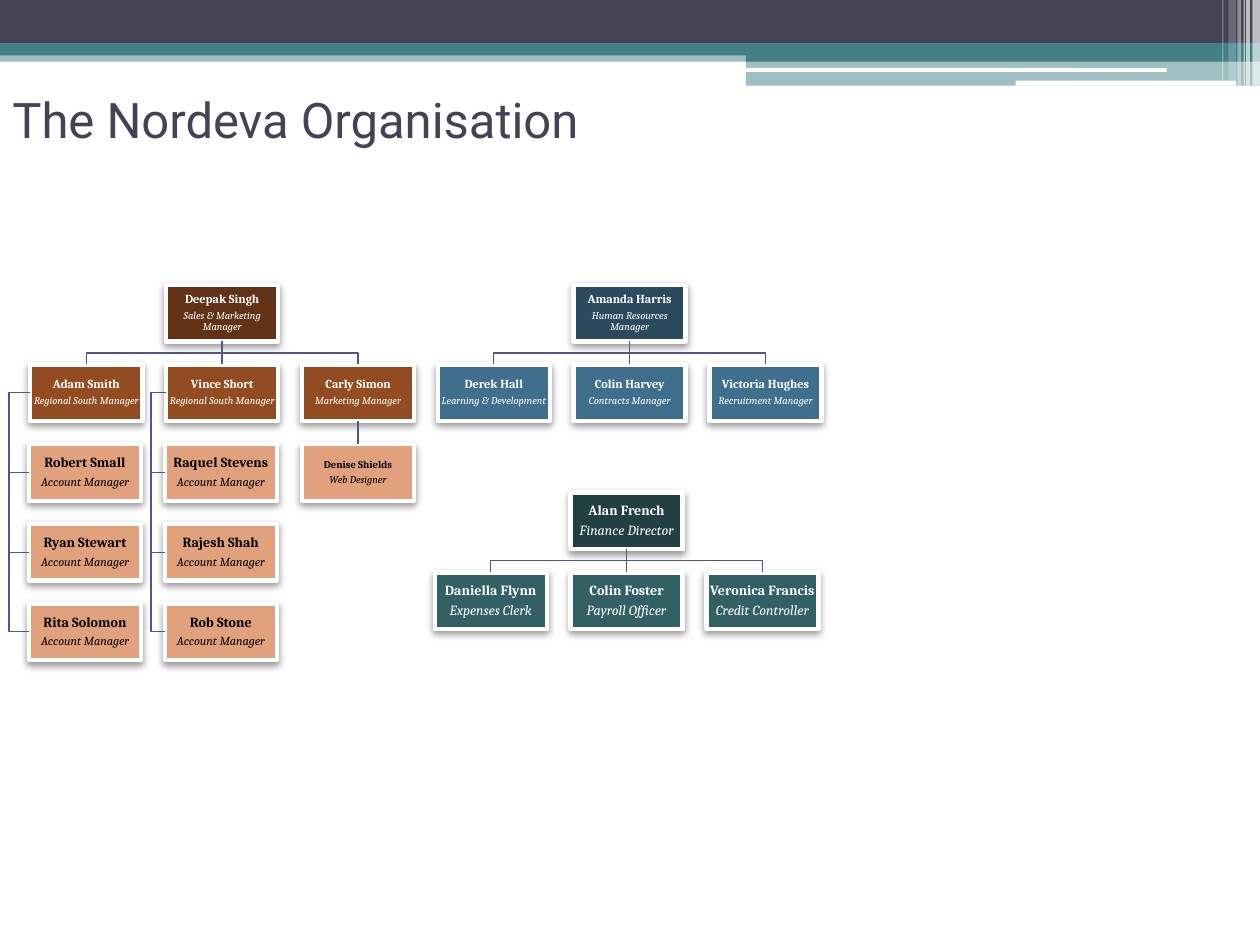
import pptx
import pptx.util
import pptx.dml.color
import pptx.enum.shapes
import pptx.enum.text
import pptx.oxml
import pptx.oxml.ns
import lxml.etree

Pt = pptx.util.Pt
qn = pptx.oxml.ns.qn
Kind = pptx.enum.shapes.MSO_SHAPE
Link = pptx.enum.shapes.MSO_CONNECTOR
Align = pptx.enum.text.PP_ALIGN
Anchor = pptx.enum.text.MSO_ANCHOR

theme = {
    "white": "FFFFFF", "dark": "424456", "teal": "438086", "link": "53548A",
    "head": "Roboto", "body": "Cambria", "title": 28, "edge": 2.5, "wire": 0.75,
    # fill, ink, name size, job size
    "sales head": ("623217", "FFFFFF", 7, 6),
    "sales": ("934C22", "FFFFFF", 7, 6),
    "account": ("E1A17C", "000000", 8, 7),
    "web": ("E1A17C", "000000", 6, 6),
    "people head": ("2B4A5E", "FFFFFF", 7, 6),
    "people": ("406F8D", "FFFFFF", 7, 6),
    "money head": ("224043", "FFFFFF", 8, 8),
    "money": ("326065", "FFFFFF", 8, 8),
}

deck = pptx.Presentation()
deck.slide_width = pptx.util.Inches(10)
deck.slide_height = pptx.util.Inches(7.5)
slide = deck.slides.add_slide(deck.slide_layouts[6])
unit = deck.slide_width / 10  # the slide is 10 units wide, 7.5 high


def rgb(code):
    return pptx.dml.color.RGBColor.from_string(code)


def block(x, y, w, h, tint, kind=Kind.RECTANGLE):
    """Add a plain filled shape, placed in slide units."""
    shape = slide.shapes.add_shape(kind, *[round(n * unit) for n in (x, y, w, h)])
    shape.shadow.inherit = False
    shape.fill.solid()
    shape.fill.fore_color.rgb = rgb(tint)
    shape.line.fill.background()
    return shape


# Header bands and the stripes at the right: place, tint, opacity, shape
white, teal, dark = theme["white"], theme["teal"], theme["dark"]
rect, pill = Kind.RECTANGLE, Kind.ROUNDED_RECTANGLE
bands = [
    (0, 0.4, 10, 0.09, teal, 50, rect),
    (0, 0, 10, 0.34, dark, 100, rect),
    (0, 0.34, 10, 0.1, teal, 100, rect),
    (5.92, 0.39, 4.08, 0.1, teal, 100, rect),
    (5.92, 0.48, 4.08, 0.2, teal, 50, rect),
    (5.91, 0.54, 3.35, 0.03, white, 100, pill),
    (8.06, 0.64, 1.75, 0.04, white, 100, pill),
    (9.94, 0, 0.06, 0.68, white, 65, rect),
    (9.89, 0, 0.03, 0.68, white, 65, rect),
    (9.87, 0, 0.01, 0.68, white, 60, rect),
    (9.82, 0, 0.03, 0.68, white, 40, rect),
    (9.75, 0, 0.06, 0.64, white, 20, rect),
    (9.7, 0, 0.01, 0.64, white, 30, rect),
]
for x, y, w, h, tint, solid, kind in bands:
    band = block(x, y, w, h, tint, kind)
    if solid < 100:
        color = band._element.spPr.find(".//" + qn("a:srgbClr"))
        lxml.etree.SubElement(color, qn("a:alpha"), val=str(solid * 1000))

title = slide.shapes.add_textbox(*[round(n * unit) for n in (0, 0.47, 5.86, 0.94)])
frame = title.text_frame
frame.word_wrap = True
frame.vertical_anchor = Anchor.MIDDLE
run = frame.paragraphs[0].add_run()
run.text = "The Nordeva Organisation"
run.font.size = Pt(theme["title"])
run.font.name = theme["head"]
run.font.color.rgb = rgb(dark)

# Staff grid
wide, high = 0.89, 0.45
left, top = 0.24, 2.26
col, row = (5.63 - left) / 5, (4.79 - top) / 4
nudge = 0.01  # account managers sit a hair left of their manager
main, money = (left, top), (3.45, 3.91)  # corners of the two grids

# corner, column, row, style, name, job, boss
staff = [
    (main, 1, 0, "sales head", "Deepak Singh", "Sales & Marketing Manager", None),
    (main, 0, 1, "sales", "Adam Smith", "Regional South Manager", "Deepak Singh"),
    (main, 0, 2, "account", "Robert Small", "Account Manager", "Adam Smith"),
    (main, 0, 3, "account", "Ryan Stewart", "Account Manager", "Adam Smith"),
    (main, 0, 4, "account", "Rita Solomon", "Account Manager", "Adam Smith"),
    (main, 1, 1, "sales", "Vince Short", "Regional South Manager", "Deepak Singh"),
    (main, 1, 2, "account", "Raquel Stevens", "Account Manager", "Vince Short"),
    (main, 1, 3, "account", "Rajesh Shah", "Account Manager", "Vince Short"),
    (main, 1, 4, "account", "Rob Stone", "Account Manager", "Vince Short"),
    (main, 2, 1, "sales", "Carly Simon", "Marketing Manager", "Deepak Singh"),
    (main, 2, 2, "web", "Denise Shields", "Web Designer", "Carly Simon"),
    (main, 4, 0, "people head", "Amanda Harris", "Human Resources Manager", None),
    (main, 3, 1, "people", "Derek Hall", "Learning & Development", "Amanda Harris"),
    (main, 4, 1, "people", "Colin Harvey", "Contracts Manager", "Amanda Harris"),
    (main, 5, 1, "people", "Victoria Hughes", "Recruitment Manager", "Amanda Harris"),
    (money, 1, 0, "money head", "Alan French", "Finance Director", None),
    (money, 0, 1, "money", "Daniella Flynn", "Expenses Clerk", "Alan French"),
    (money, 1, 1, "money", "Colin Foster", "Payroll Officer", "Alan French"),
    (money, 2, 1, "money", "Veronica Francis", "Credit Controller", "Alan French"),
]
spots = {}
for (x, y), across, down, style, name, job, boss in staff:
    x += across * col - (nudge if style == "account" else 0)
    y += down * row
    spots[name] = x, y
    fill, ink, big, small = theme[style]
    card = block(x, y, wide, high, fill)
    card.line.color.rgb = rgb(white)
    card.line.width = Pt(theme["edge"])
    glow = lxml.etree.SubElement(
        card._element.spPr.find(qn("a:effectLst")), qn("a:outerShdw"),
        blurRad=str(Pt(4.1)), dist=str(Pt(2)), dir="5400000", rotWithShape="0")
    shade = lxml.etree.SubElement(glow, qn("a:srgbClr"), val="000000")
    lxml.etree.SubElement(shade, qn("a:alpha"), val="40000")

    frame = card.text_frame
    frame.word_wrap = True
    frame.vertical_anchor = Anchor.MIDDLE
    frame.margin_left = frame.margin_right = frame.margin_top = frame.margin_bottom = 0
    for text, size, bold in ((name, big, True), (job, small, False)):
        para = frame.paragraphs[0] if bold else frame.add_paragraph()
        para.alignment = Align.CENTER
        para.line_spacing = 0.9
        para.space_after = Pt(0.35 * size)
        run = para.add_run()
        run.text = text
        run.font.name = theme["body"]
        run.font.size = Pt(size)
        run.font.bold = bold
        run.font.italic = not bold
        run.font.color.rgb = rgb(ink)

# Lines from each boss to each report
rails = {"Adam Smith": 0.17, "Vince Short": 0.12}  # how far the rail stands out
for *place, style, name, job, boss in staff:
    if not boss:
        continue
    (x1, y1), (x2, y2) = spots[boss], spots[name]
    turn = bend = None
    kind = Link.ELBOW
    if boss in rails:
        ends = x1, y1 + high / 2, x2, y2 + high / 2
        bend = rails[boss] / nudge
    elif x1 == x2:
        kind = Link.STRAIGHT
        ends = x1 + wide / 2, y1 + high, x2 + wide / 2, y2
    else:
        # An elbow that leaves downwards is a sideways one turned by 90 degrees
        turn = 90
        midx, midy = (x1 + x2 + wide) / 2, (y1 + high + y2) / 2
        drop, shift = (y2 - y1 - high) / 2, (x1 - x2) / 2
        ends = midx - drop, midy - shift, midx + drop, midy + shift
    wire = slide.shapes.add_connector(kind, *[round(n * unit) for n in ends])
    wire.line.color.rgb = rgb(theme["link"])
    wire.line.width = Pt(theme["wire"])
    props = wire._element.spPr
    lxml.etree.SubElement(props, qn("a:effectLst"))
    if turn:
        props.find(qn("a:xfrm")).set("rot", str(turn * 60000))
    if bend:
        guide = props.find(qn("a:prstGeom")).find(qn("a:avLst"))
        lxml.etree.SubElement(guide, qn("a:gd"), name="adj1",
                              fmla=f"val {round(bend * 100000)}")

deck.save("out.pptx")
